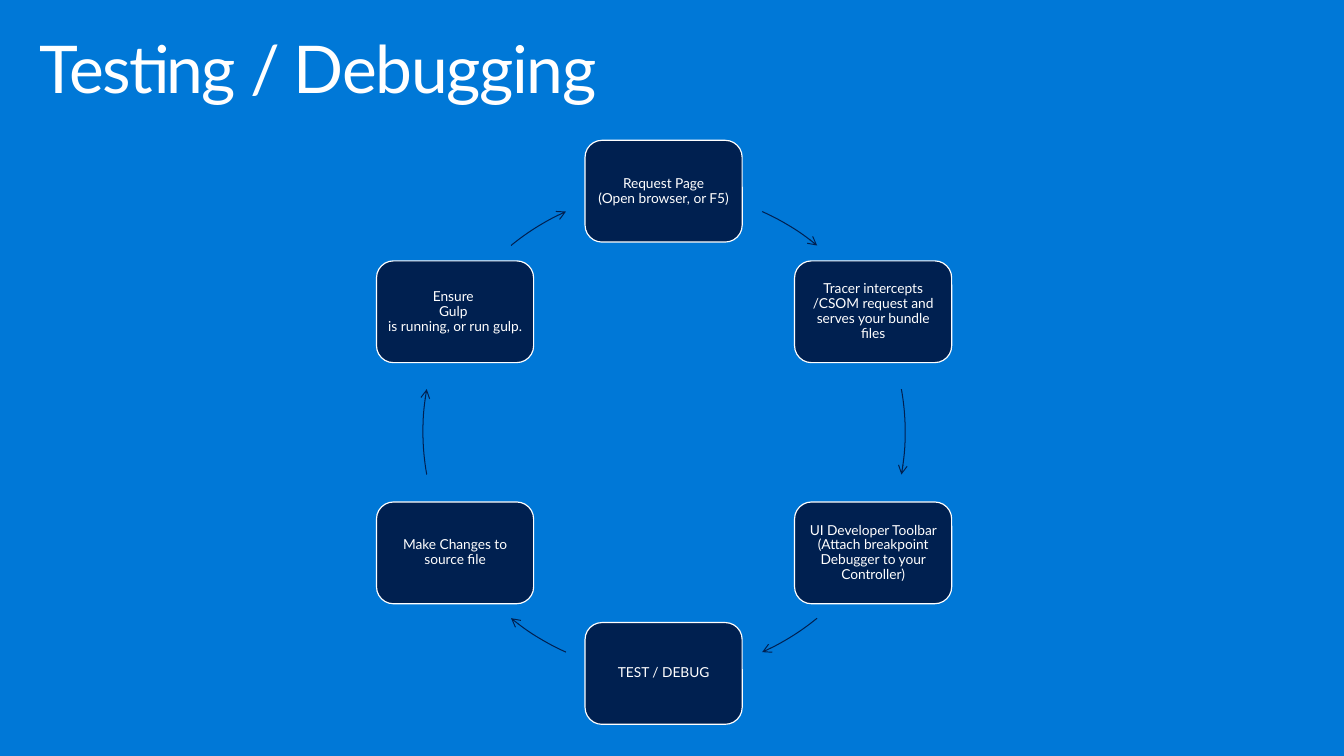
from math import cos, radians, sin

from lxml import etree
from pptx import Presentation
from pptx.dml.color import RGBColor
from pptx.enum.shapes import MSO_SHAPE
from pptx.enum.text import MSO_ANCHOR, PP_ALIGN
from pptx.oxml.ns import qn
from pptx.util import Pt

ROUNDED = MSO_SHAPE.ROUNDED_RECTANGLE
ARC = MSO_SHAPE.ARC
TOP, MIDDLE = MSO_ANCHOR.TOP, MSO_ANCHOR.MIDDLE
LEFT, CENTER = PP_ALIGN.LEFT, PP_ALIGN.CENTER

BLUE = RGBColor(0x00, 0x78, 0xD7)
NAVY = RGBColor(0x00, 0x20, 0x50)
WHITE = RGBColor(0xFF, 0xFF, 0xFF)

PX = 9144  # EMU, 100 px to the inch
TITLE_ONLY = 5

CENTER_X, CENTER_Y, RADIUS = 672, 437, 244
STEP_WIDTH, STEP_HEIGHT = 159, 103

STEPS = [
    ["Request Page", "(Open browser, or F5)"],
    ["Tracer intercepts /CSOM request and serves your bundle files"],
    ["UI Developer Toolbar (Attach breakpoint Debugger to your Controller)"],
    ["TEST / DEBUG"],
    ["Make Changes to source file"],
    ["Ensure ", "Gulp ", "is running, or run gulp."],
]
# Start and end of each arrow, in degrees clockwise from the top
HALF_CYCLE = [(24, 39.4), (79.8, 100.2), (140.6, 156)]
ARROWS = [(start + turn, end + turn) for turn in (0, 180) for start, end in HALF_CYCLE]


class CycleSlide:
    font = "Lato"

    def __init__(self, presentation):
        self.slide = presentation.slides.add_slide(presentation.slide_layouts[TITLE_ONLY])
        background = self.slide.background.fill
        background.solid()
        background.fore_color.rgb = BLUE

    def add_lines(self, frame, lines, size, align, anchor):
        """Fill the frame with one paragraph, broken into the given lines."""
        frame.word_wrap = True
        frame.vertical_anchor = anchor
        paragraph = frame.paragraphs[0]
        paragraph.alignment = align
        paragraph.line_spacing = 0.9
        for index, line in enumerate(lines):
            if index:
                paragraph.add_line_break()
            run = paragraph.add_run()
            run.text = line
            run.font.name = self.font
            run.font.size = Pt(size)
            run.font.color.rgb = WHITE
        return paragraph

    def title(self, wording, left, top, width, height):
        title = self.slide.shapes.title
        title.left, title.top = left * PX, top * PX
        title.width, title.height = width * PX, height * PX
        paragraph = self.add_lines(title.text_frame, [wording], 48, LEFT, TOP)
        paragraph.runs[0].font._element.set("spc", "-100")

    def shape(self, kind, left, top, width, height, line_color, line_width):
        shape = self.slide.shapes.add_shape(
            kind, left * PX, top * PX, width * PX, height * PX)
        shape.shadow.inherit = False
        shape.line.color.rgb = line_color
        shape.line.width = Pt(line_width)
        return shape

    def step(self, lines, angle):
        """Place a step on the circle, angle in degrees clockwise from the top."""
        left = round(CENTER_X + RADIUS * sin(radians(angle)) - STEP_WIDTH / 2)
        top = round(CENTER_Y - RADIUS * cos(radians(angle)) - STEP_HEIGHT / 2)
        box = self.shape(ROUNDED, left, top, STEP_WIDTH, STEP_HEIGHT, WHITE, 0.85)
        box.fill.solid()
        box.fill.fore_color.rgb = NAVY
        frame = box.text_frame
        frame.margin_left = frame.margin_right = 4 * PX
        frame.margin_top = frame.margin_bottom = 4 * PX
        self.add_lines(frame, lines, 10, CENTER, MIDDLE)

    def arrow(self, start, end):
        arc = self.shape(ARC, CENTER_X - RADIUS, CENTER_Y - RADIUS,
                         2 * RADIUS, 2 * RADIUS, NAVY, 0.75)
        arc.fill.background()
        for index, angle in enumerate((start, end)):
            # Arc angles run from three o'clock in 60000ths of a degree
            arc.adjustments[index] = (angle - 90) % 360 * 0.6
        line = arc._element.spPr.find(qn("a:ln"))
        etree.SubElement(line, qn("a:tailEnd"), type="arrow")


def main():
    presentation = Presentation()
    presentation.slide_width = 1360 * PX
    presentation.slide_height = 765 * PX

    cycle = CycleSlide(presentation)
    cycle.title("Testing / Debugging", 30, 32, 1300, 100)
    for index, (lines, (start, end)) in enumerate(zip(STEPS, ARROWS)):
        cycle.step(lines, index * 360 / len(STEPS))
        cycle.arrow(start, end)

    presentation.save("out.pptx")


if __name__ == "__main__":
    main()
